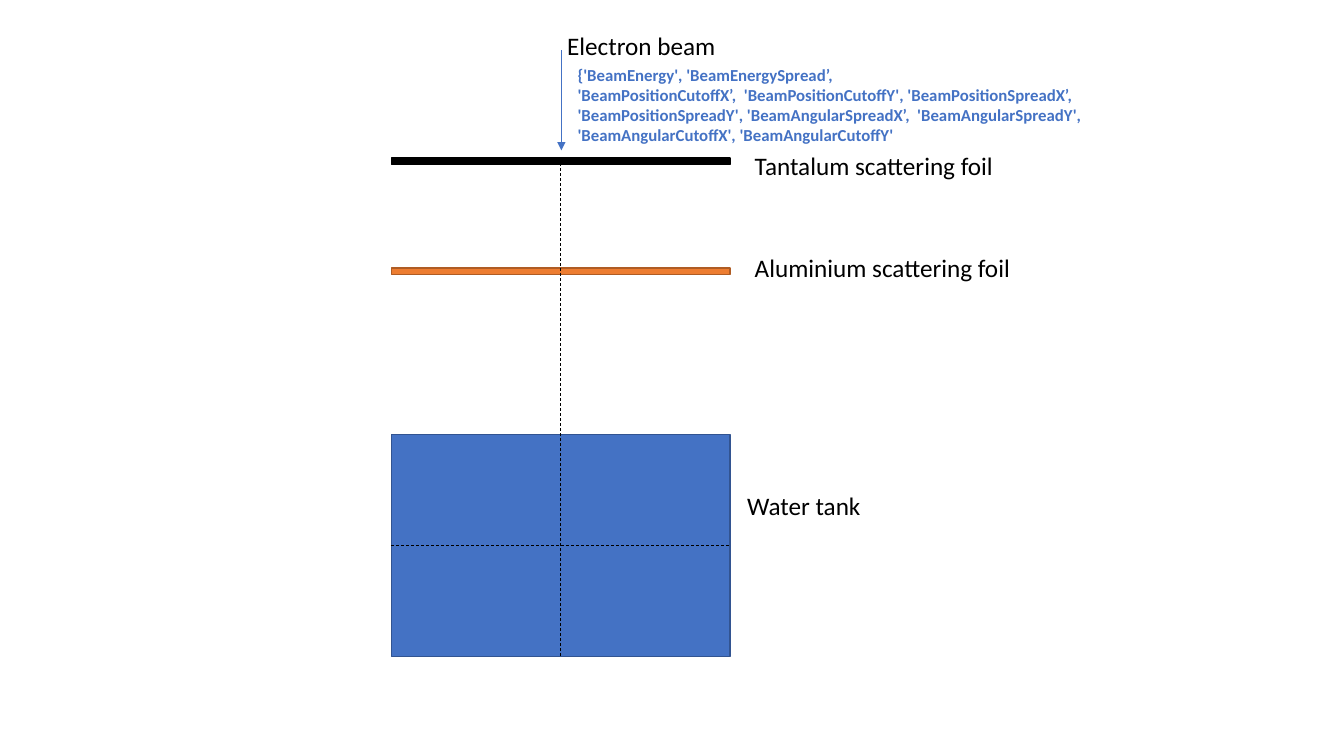
from lxml import etree
from pptx import Presentation
from pptx.dml.color import RGBColor
from pptx.enum.dml import MSO_LINE
from pptx.enum.shapes import MSO_CONNECTOR, MSO_SHAPE
from pptx.enum.text import MSO_AUTO_SIZE
from pptx.oxml.ns import qn
from pptx.util import Pt

RECTANGLE = MSO_SHAPE.RECTANGLE
STRAIGHT = MSO_CONNECTOR.STRAIGHT
DASH = MSO_LINE.DASH
GROW = MSO_AUTO_SIZE.SHAPE_TO_FIT_TEXT

FONT = "Calibri"
COLORS = {
    "black": "000000",
    "aluminium": "ED7D31",
    "aluminium_edge": "AF5C24",
    "blue": "4472C4",
    "water_edge": "325491",
}
FOIL_HEIGHT = 4.5
LABEL_WIDTH = 209
LABEL_HEIGHT = 29
BEAM_PARAMETERS = (
    "{'BeamEnergy', 'BeamEnergySpread’,\n"
    "'BeamPositionCutoffX’,  'BeamPositionCutoffY', 'BeamPositionSpreadX’, "
    "'BeamPositionSpreadY', 'BeamAngularSpreadX’,  'BeamAngularSpreadY',  "
    "'BeamAngularCutoffX', 'BeamAngularCutoffY'"
)


def color(name):
    return RGBColor.from_string(COLORS[name])


def add_block(slide, left, top, width, height, fill, edge):
    shape = slide.shapes.add_shape(RECTANGLE, Pt(left), Pt(top), Pt(width), Pt(height))
    shape.shadow.inherit = False
    shape.fill.solid()
    shape.fill.fore_color.rgb = color(fill)
    shape.line.color.rgb = color(edge)
    shape.line.width = Pt(1)


def add_line(slide, start, end, line_color):
    connector = slide.shapes.add_connector(STRAIGHT, *map(Pt, start + end))
    connector.line.color.rgb = color(line_color)
    connector.line.width = Pt(0.5)
    etree.SubElement(connector._element.spPr, qn("a:effectLst"))
    return connector


def add_label(slide, left, top, text, width=LABEL_WIDTH, height=LABEL_HEIGHT,
              size=18, text_color="black", bold=False):
    text_box = slide.shapes.add_textbox(Pt(left), Pt(top), Pt(width), Pt(height))
    text_frame = text_box.text_frame
    text_frame.word_wrap = True
    text_frame.auto_size = GROW
    paragraph = text_frame.paragraphs[0]
    paragraph.text = text
    for run in paragraph.runs:
        run.font.name = FONT
        run.font.size = Pt(size)
        run.font.bold = bold
        run.font.color.rgb = color(text_color)


def add_beam(slide, left, top, width, height):
    arrow = add_line(slide, (left, top), (left, top + height), "blue")
    etree.SubElement(arrow.line._get_or_add_ln(), qn("a:tailEnd"), type="triangle")
    add_label(slide, left - 3, top - 18, "Electron beam")
    add_label(slide, left + 4.5, top + 6.5, BEAM_PARAMETERS, width, 65.5,
              size=12, text_color="blue", bold=True)


def add_apparatus(slide, left, top, width, height):
    right, bottom = left + width, top + height
    tank_height = 158.5
    tank_top = bottom - tank_height
    tank_middle = bottom - tank_height / 2
    axis = left + width / 2
    aluminium_top = top + 78.5

    add_block(slide, left, top, width, FOIL_HEIGHT, "black", "black")
    add_block(slide, left, aluminium_top, width, FOIL_HEIGHT, "aluminium", "aluminium_edge")
    add_block(slide, left, tank_top, width, tank_height, "blue", "water_edge")

    add_label(slide, right + 10.5, top - 9.5, "Tantalum scattering foil")
    add_label(slide, right + 10.5, aluminium_top - 14.5, "Aluminium scattering foil")
    add_label(slide, right + 5, tank_top + 36.5, "Water tank")

    for start, end in (
        ((axis, top), (axis, bottom)),
        ((left, tank_middle), (right, tank_middle)),
    ):
        add_line(slide, start, end, "black").line.dash_style = DASH


def main():
    presentation = Presentation()
    presentation.slide_width = Pt(960)
    presentation.slide_height = Pt(540)
    slide = presentation.slides.add_slide(presentation.slide_layouts[6])
    add_apparatus(slide, 279.5, 113, 242, 356)
    add_beam(slide, 401, 36, 462, 71.5)
    presentation.save("out.pptx")


if __name__ == "__main__":
    main()
